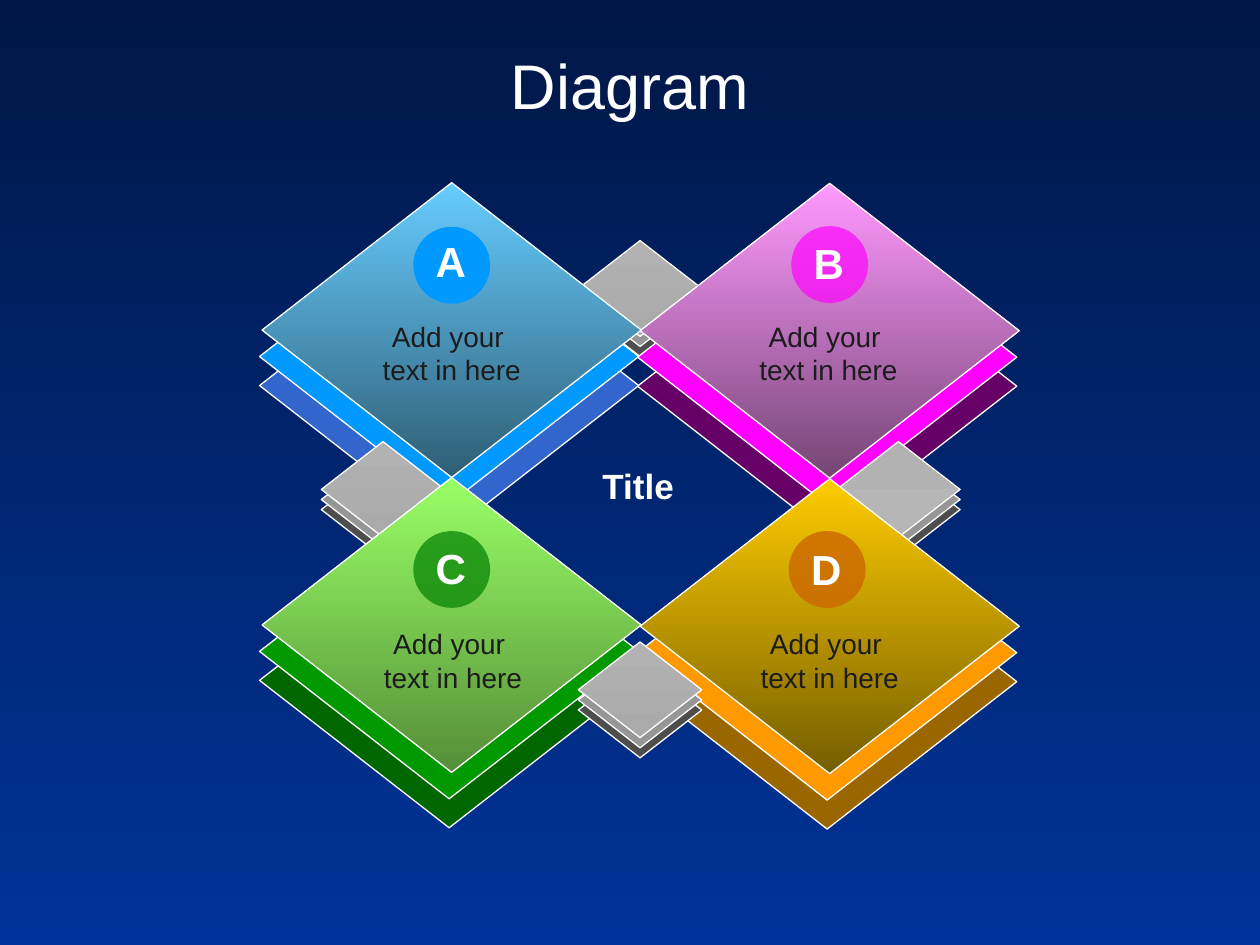
from dataclasses import dataclass

from lxml.etree import SubElement
from pptx import Presentation
from pptx.dml.color import RGBColor
from pptx.enum.shapes import MSO_SHAPE as Shape
from pptx.enum.text import MSO_ANCHOR as Anchor, MSO_AUTO_SIZE as AutoSize, PP_ALIGN as Align
from pptx.oxml.ns import qn
from pptx.util import Inches, Pt

# The slide is a grid of 100 columns by 75 rows.
COLS, ROWS = 100, 75
CELL = Inches(10) // COLS


@dataclass(frozen=True)
class Theme:
    font: str = "Arial"
    heading: int = 36
    letter: int = 24
    center: int = 20
    caption: int = 16
    edge: float = 0.75
    white: str = "FFFFFF"
    ink: str = "1C1C1C"
    background: tuple = ("001746", "003399")
    stack_layers: tuple = ("4D4D4D", "969696")
    stack_top: str = "B2B2B2"


@dataclass(frozen=True)
class Tile:
    letter: str
    col: float
    row: float
    low: str
    middle: str
    face: tuple
    badge: str
    opacity: int
    badge_at: tuple    # column and row inside the tile
    letter_drop: float
    caption_at: tuple  # column and row inside the tile


THEME = Theme()
TILE_SIZE = (30.1, 23.4)
STACK_SIZE = (9.8, 7.6)
CAPTION_SIZE = (13.1, 6.4)
BADGE_SIZE = 6.1

TILE_A = Tile("A", 20.8, 14.5, "3366CC", "0099FF", ("66CCFF", "2F5E75"),
              "0099FF", 100, (12, 3.5), 0.2, (8.5, 10.35))
TILE_B = Tile("B", 50.8, 14.55, "660066", "FF00FF", ("FF99FF", "754675"),
              "FF00FF", 68, (12, 3.4), 0.4, (8.4, 10.3))
TILE_C = Tile("C", 20.8, 37.9, "006600", "009900", ("99FF66", "558E38"),
              "008000", 70, (12, 4.25), 0.4, (8.6, 11.35))
TILE_D = Tile("D", 50.8, 38, "996600", "FF9900", ("FFCC00", "755E00"),
              "CC6600", 80, (11.8, 4.15), 0.5, (8.5, 11.25))


def grid(*cells):
    return [round(cell * CELL) for cell in cells]


def rgb(code):
    return RGBColor.from_string(code)


def paint(fill, color):
    """Fill with one colour, or top to bottom with a pair of them."""
    if isinstance(color, str):
        fill.solid()
        fill.fore_color.rgb = rgb(color)
        return
    fill.gradient()
    fill.gradient_angle = 270
    for stop, code in zip(fill.gradient_stops, color):
        stop.color.rgb = rgb(code)


def style_lines(frame, lines, size, color, bold=False):
    frame.text = "\n".join(lines)
    for paragraph in frame.paragraphs:
        paragraph.alignment = Align.CENTER
        font = paragraph.font
        font.name, font.size, font.bold = THEME.font, Pt(size), bold
        font.color.rgb = rgb(color)


def add_label(slide, box, lines, size, color, bold=False, wrap=False):
    frame = slide.shapes.add_textbox(*grid(*box)).text_frame
    frame.word_wrap = wrap
    frame.auto_size = AutoSize.SHAPE_TO_FIT_TEXT
    style_lines(frame, lines, size, color, bold)


def add_layers(slide, size, layers):
    """Group diamonds given as (column, row, colour), lowest first."""
    group = slide.shapes.add_group_shape()
    for col, row, color in layers:
        diamond = group.shapes.add_shape(Shape.DIAMOND, *grid(col, row, *size))
        diamond.shadow.inherit = False
        paint(diamond.fill, color)
        diamond.line.color.rgb = rgb(THEME.white)
        diamond.line.width = Pt(THEME.edge)


def add_stack(slide, col, row, shade="AAAAAA"):
    low, middle = THEME.stack_layers
    add_layers(slide, STACK_SIZE, [
        (col, row + 1.6, low),
        (col, row + 0.8, middle),
        (col, row, (THEME.stack_top, shade)),
    ])


def add_badge(slide, tile, col, row):
    disc = slide.shapes.add_shape(Shape.OVAL, *grid(col, row, BADGE_SIZE, BADGE_SIZE))
    disc.shadow.inherit = False
    paint(disc.fill, tile.badge)
    disc.line.fill.background()
    if tile.opacity < 100:
        color = disc.fill._xPr.find(qn("a:solidFill"))[0]
        SubElement(color, qn("a:alpha"), val=str(tile.opacity * 1000))
    add_label(slide, (col + 0.8, row + tile.letter_drop, 3, 5), [tile.letter],
              THEME.letter, THEME.white, bold=True, wrap=True)


def add_tile(slide, tile):
    col, row = tile.col, tile.row
    add_layers(slide, TILE_SIZE, [
        (col - 0.2, row + 4.4, tile.low),
        (col - 0.2, row + 2.1, tile.middle),
        (col, row, tile.face),
    ])
    # Caption and lettered badge on the face
    caption_col, caption_row = tile.caption_at
    add_label(slide, (col + caption_col, row + caption_row, *CAPTION_SIZE),
              ["Add your ", "text in here"], THEME.caption, THEME.ink)
    badge_col, badge_row = tile.badge_at
    add_badge(slide, tile, col + badge_col, row + badge_row)


def add_heading(slide, box):
    heading = slide.shapes.title
    heading.left, heading.top, heading.width, heading.height = grid(*box)
    frame = heading.text_frame
    frame.vertical_anchor = Anchor.MIDDLE
    style_lines(frame, ["Diagram"], THEME.heading, THEME.white)


def add_diagram(slide):
    # Back to front: each stack sits behind or before its neighbours
    add_stack(slide, 45.9, 19.1)
    add_tile(slide, TILE_B)
    add_tile(slide, TILE_A)
    add_stack(slide, 66.4, 35.05, shade="B6B6B6")
    add_tile(slide, TILE_D)
    add_stack(slide, 25.5, 35.05)
    add_tile(slide, TILE_C)
    add_stack(slide, 45.9, 50.95)
    # Centre label
    add_label(slide, (46.8, 36.4, 7.7, 4.4), ["Title"],
              THEME.center, THEME.white, bold=True)


def main():
    deck = Presentation()
    deck.slide_width, deck.slide_height = grid(COLS, ROWS)
    slide = deck.slides.add_slide(deck.slide_layouts[5])
    paint(slide.background.fill, THEME.background)
    add_heading(slide, (0, 2.55, COLS, 8.3))
    add_diagram(slide)
    deck.save("out.pptx")


if __name__ == "__main__":
    main()
